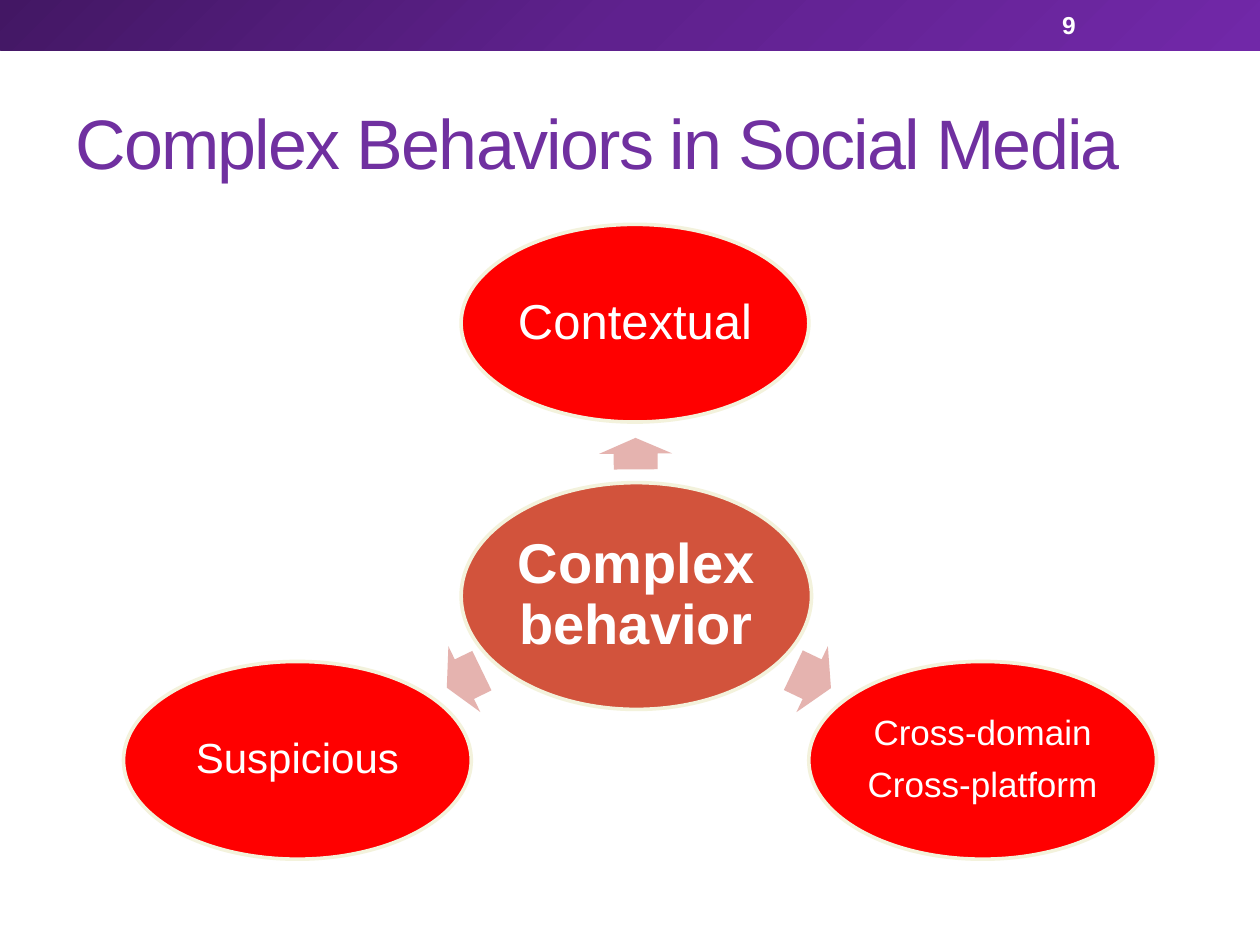
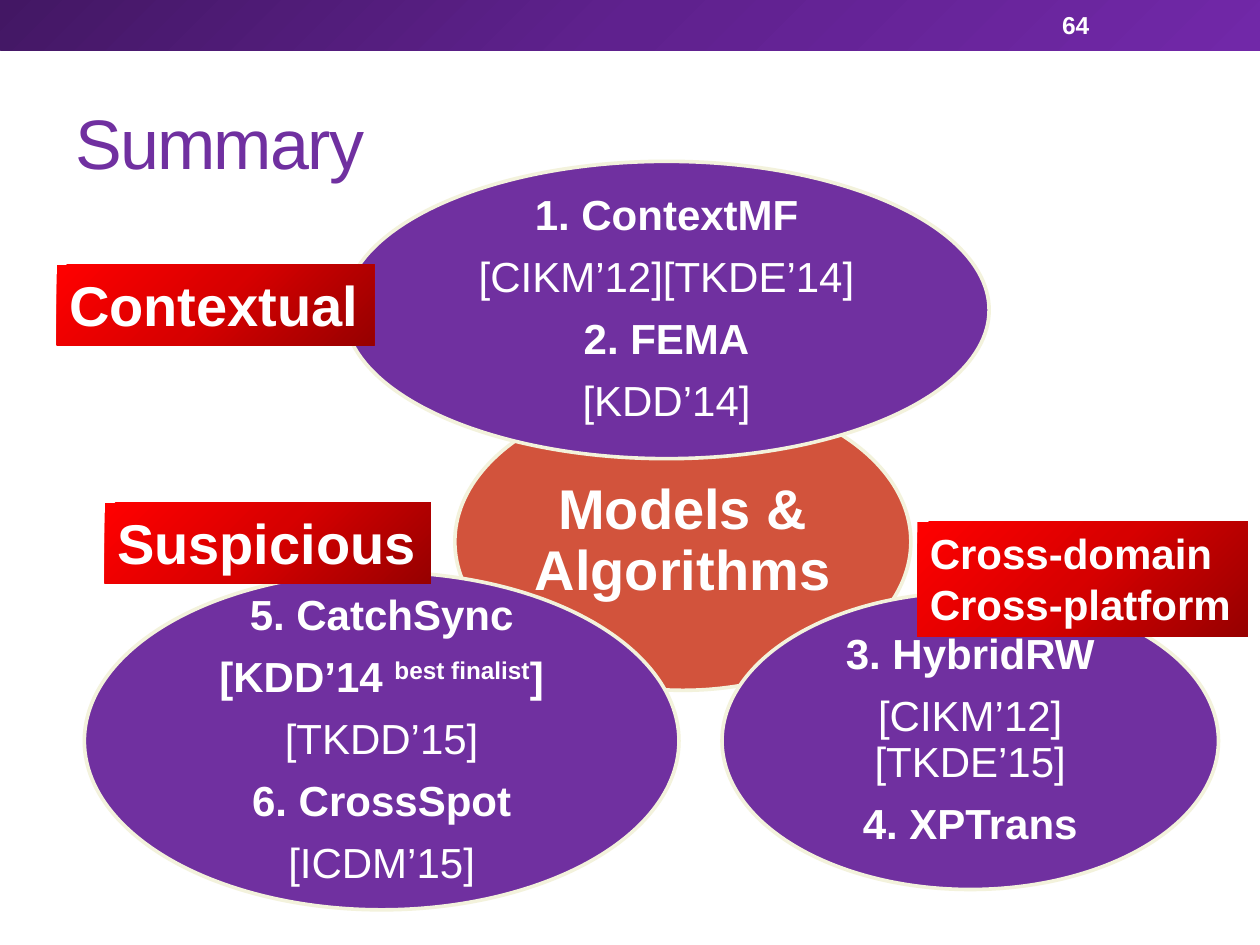
from dataclasses import dataclass

from pptx import Presentation
from pptx import util as u
from pptx.dml.color import RGBColor
from pptx.enum import shapes, text
from pptx.oxml import parse_xml
from pptx.oxml.ns import nsdecls, qn


@dataclass(frozen=True)
class Theme:
    font: str = "Arial"
    purple: str = "7030A0"
    red: str = "FF0000"
    rust: str = "D2533C"
    pink: str = "E5B3AF"
    cream: str = "F3F2DC"
    white: str = "FFFFFF"
    band: tuple = ("431764", "5F218E", "7128A8")
    label: tuple = ("970000", "D70000", "FF0000")
    title_size: int = 40
    hub_size: int = 32
    topic_size: int = 28
    body_size: int = 24
    small_size: int = 20
    number_size: int = 14
    outline: float = 2.08


BAND_SHADE = '<a:lin ang="2700000" scaled="0"/>'
LABEL_SHADE = ('<a:path path="circle"><a:fillToRect l="100000" t="100000"/></a:path>'
               '<a:tileRect r="-100000" b="-100000"/>')


def bold(words, baseline=0):
    return words, True, baseline


def plain(words):
    return words, False, 0


class Deck:
    def __init__(self, theme):
        self.theme = theme
        self.prs = Presentation()
        self.prs.slide_width, self.prs.slide_height = u.Pt(720), u.Pt(540)
        self.s = None

    def slide(self, title, number):
        self.s = self.prs.slides.add_slide(self.prs.slide_layouts[6])
        t = self.theme
        band = self.shape(shapes.MSO_SHAPE.RECTANGLE, (0, 0, 720, 28.8))
        self.gradient(band, t.band, BAND_SHADE)
        self.textbox((36, 41.8, 648, 77.8), plain(title), t.title_size, t.purple, spacing=-100)
        self.textbox((599.8, 1.4, 84.2, 25.9), bold(str(number)), t.number_size, t.white)

    def shape(self, kind, box, fill=None):
        sp = self.s.shapes.add_shape(kind, *map(u.Pt, box))
        sp.shadow.inherit = False
        sp.line.fill.background()
        if fill:
            sp.fill.solid()
            sp.fill.fore_color.rgb = RGBColor.from_string(fill)
        return sp

    def gradient(self, sp, colors, shade):
        stops = "".join(f'<a:gs pos="{i * 50000}"><a:srgbClr val="{c}"/></a:gs>'
                        for i, c in enumerate(colors))
        sp.fill.background()
        props = sp.element.spPr
        props.replace(props.find(qn("a:noFill")), parse_xml(
            f'<a:gradFill {nsdecls("a")} rotWithShape="1">'
            f'<a:gsLst>{stops}</a:gsLst>{shade}</a:gradFill>'))

    def add_text(self, tf, paragraphs, size, color, align=text.PP_ALIGN.LEFT, spacing=None):
        for i, runs in enumerate(paragraphs):
            p = tf.add_paragraph() if i else tf.paragraphs[0]
            p.alignment = align
            for words, is_bold, baseline in runs:
                r = p.add_run()
                r.text = words
                r.font.name, r.font.size, r.font.bold = self.theme.font, u.Pt(size), is_bold
                r.font.color.rgb = RGBColor.from_string(color)
                if baseline:
                    r.font._element.set("baseline", str(baseline * 1000))
                if spacing:
                    r.font._element.set("spc", str(spacing))

    def textbox(self, box, run, size, color, spacing=None):
        tf = self.s.shapes.add_textbox(*map(u.Pt, box)).text_frame
        tf.word_wrap = True
        tf.vertical_anchor = text.MSO_ANCHOR.MIDDLE
        self.add_text(tf, [[run]], size, color, spacing=spacing)

    def ellipse(self, box, fill, size, *paragraphs):
        t = self.theme
        sp = self.shape(shapes.MSO_SHAPE.OVAL, box, fill)
        sp.line.color.rgb = RGBColor.from_string(t.cream)
        sp.line.width = u.Pt(t.outline)
        tf = sp.text_frame
        tf.word_wrap = True
        tf.vertical_anchor = text.MSO_ANCHOR.MIDDLE
        tf.margin_left = tf.margin_right = tf.margin_top = tf.margin_bottom = u.Pt(2.5)
        self.add_text(tf, paragraphs, size, t.white, text.PP_ALIGN.CENTER)
        for p in tf.paragraphs:
            p.line_spacing = 0.9
            p.space_after = u.Pt(size * 0.4)

    def arrow(self, box, angle):
        sp = self.shape(shapes.MSO_SHAPE.RIGHT_ARROW, box, self.theme.pink)
        sp.adjustments[0], sp.adjustments[1] = 0.6, 0.5
        sp.rotation = angle

    def label(self, box, size, *lines):
        sp = self.shape(shapes.MSO_SHAPE.RECTANGLE, box)
        self.gradient(sp, self.theme.label, LABEL_SHADE)
        tf = sp.text_frame
        tf.word_wrap = False
        tf.auto_size = text.MSO_AUTO_SIZE.SHAPE_TO_FIT_TEXT
        tf.vertical_anchor = text.MSO_ANCHOR.TOP
        self.add_text(tf, [[bold(line)] for line in lines], size, self.theme.white)


def behaviors_slide(deck):
    t = deck.theme
    deck.slide("Complex Behaviors in Social Media", 9)
    deck.ellipse((263.5, 275.8, 200.2, 129.6), t.rust, t.hub_size, [bold("Complex behavior")])
    for left, top, width, angle in ((354.2, 238.3, 18, 269.6),
                                    (452.2, 367.2, 23.8, 25.5),
                                    (254.2, 367.2, 22.3, 154.1)):
        deck.arrow((left, top, width, 41.8), angle)
    for left, top, size, lines in (
            (263.5, 128.2, t.topic_size, ["Contextual"]),
            (462.2, 378, t.small_size, ["Cross-domain", "Cross-platform"]),
            (70.6, 378, t.body_size, ["Suspicious"])):
        deck.ellipse((left, top, 198.7, 113), t.red, size, *[[plain(line)] for line in lines])


def summary_slide(deck):
    t = deck.theme
    deck.slide("Summary", 64)
    deck.ellipse((259.9, 224.6, 260.6, 169.9), t.rust, t.hub_size, [bold("Models & Algorithms")])
    deck.ellipse((196.6, 92.2, 368.6, 169.9), t.purple, t.body_size,
                 [bold("1. ContextMF")], [plain("[CIKM’12][TKDE’14]")],
                 [bold("2. FEMA")], [plain("[KDD’14]")])
    deck.ellipse((412.6, 338.4, 283.7, 169.9), t.purple, t.body_size,
                 [bold("3. HybridRW")], [plain("[CIKM’12][TKDE’15]")], [bold("4. XPTrans")])
    deck.ellipse((48.2, 326.9, 339.8, 193), t.purple, t.body_size,
                 [bold("5. CatchSync")],
                 [bold("[KDD’14 "), bold("best finalist", 30), bold("]")],
                 [plain("[TKDD’15]")], [bold("6. CrossSpot")], [plain("[ICDM’15]")])
    deck.label((32.4, 151.2, 181.4, 46.1), t.hub_size, "Contextual")
    deck.label((524.2, 298.1, 188.6, 65.5), t.body_size, "Cross-domain", "Cross-platform")
    deck.label((59.8, 287.3, 186.5, 46.1), t.hub_size, "Suspicious")


def main():
    deck = Deck(Theme())
    behaviors_slide(deck)
    summary_slide(deck)
    deck.prs.save("out.pptx")


if __name__ == "__main__":
    main()
